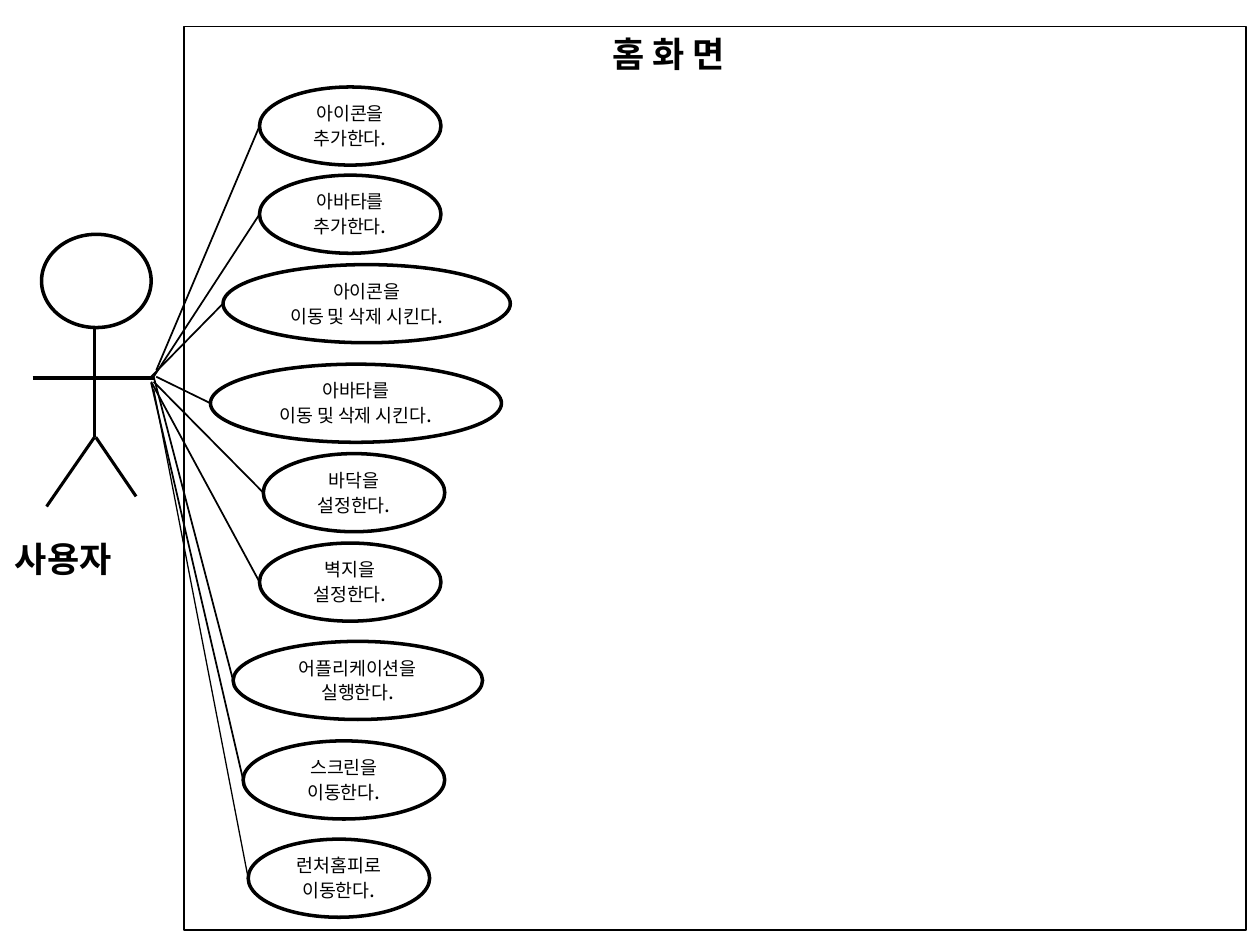
from typing import NamedTuple

from pptx import Presentation
from pptx.dml.color import RGBColor
from pptx.enum.shapes import MSO_CONNECTOR as CONN, MSO_SHAPE as SHAPE
from pptx.enum.text import MSO_ANCHOR as ANCHOR, MSO_AUTO_SIZE as AUTO, PP_ALIGN as ALIGN
from pptx.oxml.ns import qn
from pptx.util import Pt
from lxml.etree import SubElement

PX = 9144
FONT = "Noto Sans CJK KR"
BLACK, WHITE = "000000", "FFFFFF"
CASE_H = 62


class UseCase(NamedTuple):
    left: int
    top: int
    width: int
    target: str
    action: str
    hand: tuple[int, int]
    weight: float = 1


class Limb(NamedTuple):
    start: tuple[int, int]
    end: tuple[int, int]


LIMBS = [
    Limb((75, 260), (75, 347)),
    Limb((26, 300), (122, 300)),
    Limb((75, 347), (37, 402)),
    Limb((76, 347), (108, 394)),
]

USE_CASES = [
    UseCase(206, 69, 144, "아이콘을", "추가한다", (124, 294)),
    UseCase(206, 139, 144, "아바타를", "추가한다", (122, 299)),
    UseCase(177, 210, 228, "아이콘을", "이동 및 삭제 시킨다", (120, 299)),
    UseCase(167, 289, 231, "아바타를", "이동 및 삭제 시킨다", (124, 299)),
    UseCase(209, 360, 144, "바닥을", "설정한다", (122, 303)),
    UseCase(206, 431, 144, "벽지을", "설정한다", (120, 303)),
    UseCase(185, 509, 198, "어플리케이션을", "실행한다", (122, 299)),
    UseCase(193, 588, 160, "스크린을", "이동한다", (120, 304)),
    UseCase(197, 666, 144, "런처홈피로", "이동한다", (122, 309), 0.75),
]


def color(value: str) -> RGBColor:
    """Turn a hex string into a colour."""
    return RGBColor.from_string(value)


def add_text(p, text: str, *, size: float = 10.5, bold: bool = False) -> None:
    """Append a formatted run to a paragraph."""
    r = p.add_run()
    r.text = text
    r.font.size, r.font.bold, r.font.name = Pt(size), bold, FONT
    r.font.color.rgb = color(BLACK)
    SubElement(r.font._element, qn("a:ea"), typeface=FONT)


def add_shape(s, kind, left: int, top: int, width: int, height: int,
              *, fill: str | None = WHITE, weight: float = 2):
    """Draw an outlined shape, hollow when fill is None."""
    sp = s.shapes.add_shape(kind, left * PX, top * PX, width * PX, height * PX)
    sp.shadow.inherit = False
    if fill:
        sp.fill.solid()
        sp.fill.fore_color.rgb = color(fill)
    else:
        sp.fill.background()
    sp.line.color.rgb = color(BLACK)
    sp.line.width = Pt(weight)
    return sp


def add_line(s, start: tuple[int, int], end: tuple[int, int], weight: float) -> None:
    """Draw a straight black line."""
    line = s.shapes.add_connector(CONN.STRAIGHT, *(v * PX for v in start + end))
    line.line.color.rgb = color(BLACK)
    line.line.width = Pt(weight)
    SubElement(line._element.spPr, qn("a:effectLst"))


def add_use_case(s, case: UseCase) -> None:
    """Draw a use case oval and its line from the actor's hand."""
    sp = add_shape(s, SHAPE.OVAL, case.left, case.top, case.width, CASE_H)
    tf = sp.text_frame
    tf.word_wrap = True
    tf.vertical_anchor = ANCHOR.MIDDLE
    target, action = tf.paragraphs[0], tf.add_paragraph()
    target.alignment = action.alignment = ALIGN.CENTER
    add_text(target, case.target)
    add_text(action, case.action)
    add_text(action, ".", size=12)
    add_line(s, case.hand, (case.left, case.top + CASE_H // 2), case.weight)


def set_heading(sp, text: str, left: int, top: int, width: int, height: int) -> None:
    """Place a bold heading in a title or text box."""
    sp.left, sp.top, sp.width, sp.height = (v * PX for v in (left, top, width, height))
    tf = sp.text_frame
    tf.word_wrap = True
    tf.auto_size = AUTO.NONE
    tf.vertical_anchor = ANCHOR.TOP
    p = tf.paragraphs[0]
    p.alignment = ALIGN.LEFT
    add_text(p, text, size=20, bold=True)


def main() -> None:
    """Build the home screen use case diagram."""
    prs = Presentation()
    prs.slide_width, prs.slide_height = 1000 * PX, 750 * PX
    s = prs.slides.add_slide(prs.slide_layouts[5])
    set_heading(s.shapes.title, "홈 화 면", 476, 21, 314, 44)
    add_shape(s, SHAPE.OVAL, 33, 186, 87, 74)
    for limb in LIMBS:
        add_line(s, limb.start, limb.end, 1.75)
    for case in USE_CASES:
        add_use_case(s, case)
    add_shape(s, SHAPE.RECTANGLE, 146, 21, 843, 717, fill=None, weight=1)
    set_heading(s.shapes.add_textbox(0, 0, 0, 0), "사용자", 2, 422, 143, 44)
    prs.save("out.pptx")


if __name__ == "__main__":
    main()
